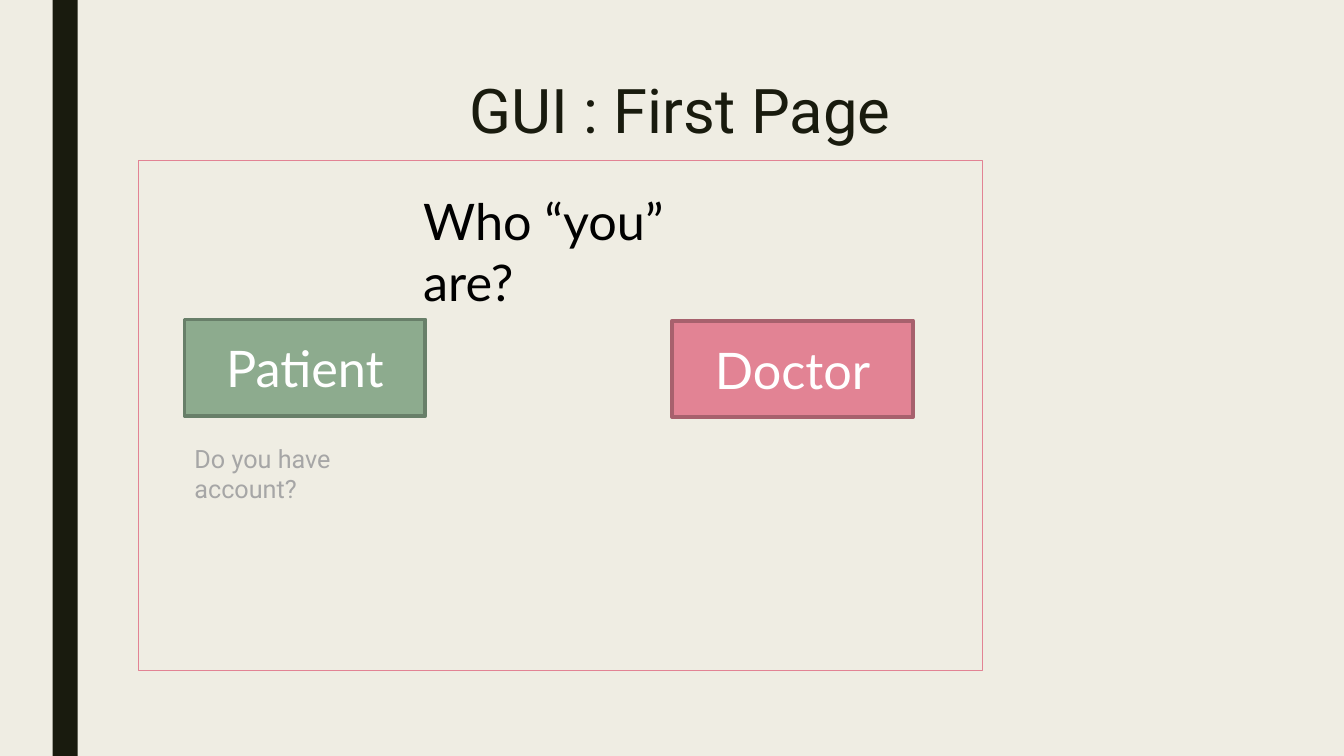
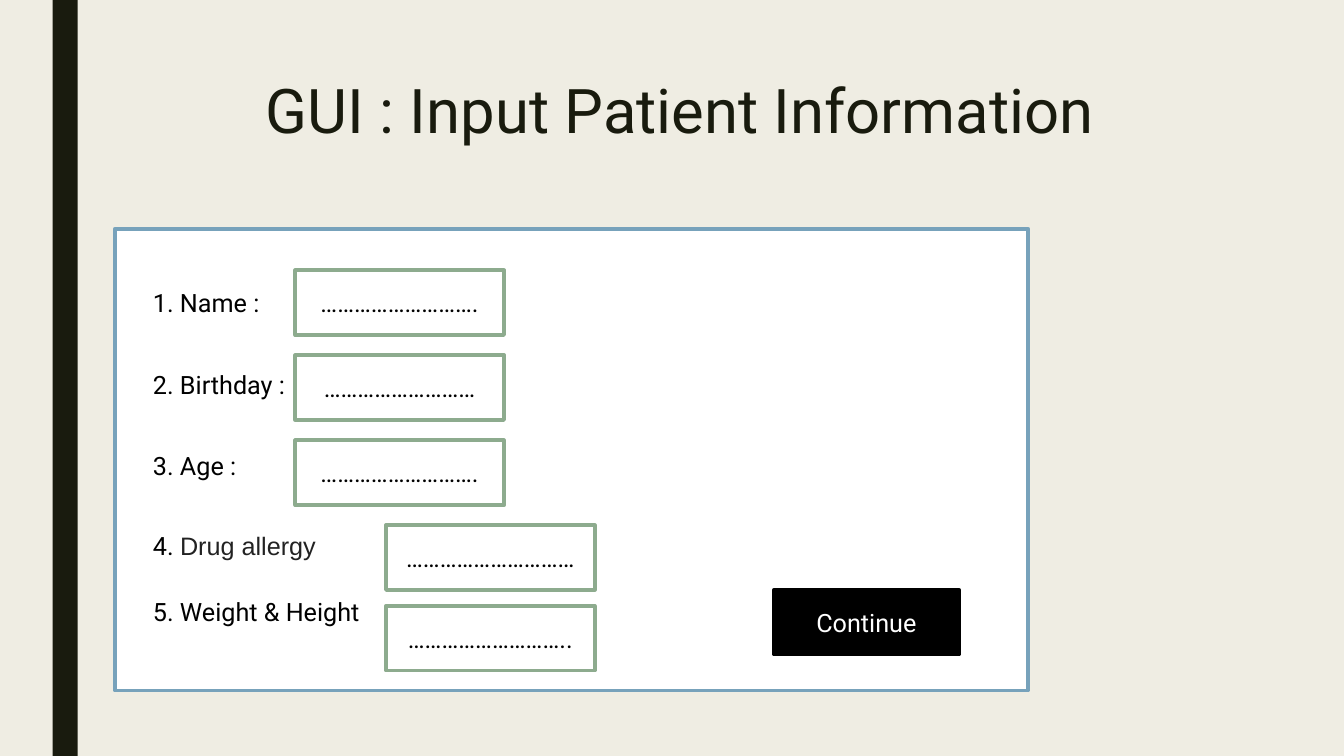
from dataclasses import dataclass

from pptx import Presentation, util as u
from pptx.dml.color import RGBColor
from pptx.enum import shapes, text

# Shared colours and fonts
PAPER, INK = "EFEDE3", "191B0E"
BLACK, WHITE = "000000", "FFFFFF"
GREEN, PINK, BLUE, GREY = "8DAB8E", "E28394", "77A2BB", "A6A6A6"
HEADING_FONT, PROMPT_FONT = "Roboto", "Lato"
FRAME_LINE = 2.75


@dataclass
class Area:
    """A rectangle on the page, in points."""
    left: float
    top: float
    width: float
    height: float

    def lengths(self) -> list:
        return [u.Pt(v) for v in (self.left, self.top, self.width, self.height)]


@dataclass
class Type:
    """How a paragraph looks."""
    size: float = 18
    color: str = BLACK
    font: str = HEADING_FONT
    centred: bool = False
    spacing: float = 1.0


@dataclass
class Field:
    """One numbered form row: label and input box."""
    label: str
    label_top: float
    label_width: float
    label_height: float
    dots: str
    box_left: float
    box_top: float


def rgb(color: str) -> RGBColor:
    return RGBColor.from_string(color)


def write(box, words: str, style: Type):
    """Fill a shape or text box with one paragraph and return it."""
    box.text_frame.word_wrap = True
    para = box.text_frame.paragraphs[0]
    para.alignment = text.PP_ALIGN.CENTER if style.centred else text.PP_ALIGN.LEFT
    para.line_spacing = style.spacing
    para.font.size = u.Pt(style.size)
    para.font.name = style.font
    para.font.color.rgb = rgb(style.color)
    para.add_run().text = words
    return para


def add_text(page, area: Area, words: str, style: Type):
    return write(page.shapes.add_textbox(*area.lengths()), words, style)


def add_box(page, area: Area, fill: str = "", line: str = "",
            weight: float = FRAME_LINE, words: str = "", style: Type = Type()):
    """Draw a rectangle; an empty colour means no fill or no line."""
    box = page.shapes.add_shape(shapes.MSO_SHAPE.RECTANGLE, *area.lengths())
    box.shadow.inherit = False
    if fill:
        box.fill.solid()
        box.fill.fore_color.rgb = rgb(fill)
    else:
        box.fill.background()
    if line:
        box.line.color.rgb = rgb(line)
        box.line.width = u.Pt(weight)
    else:
        box.line.fill.background()
    if words:
        box.text_frame.vertical_anchor = text.MSO_ANCHOR.MIDDLE
        write(box, words, style)
    return box


def add_page(deck, title: str, title_height: float):
    """Add a page with the side band and a centred title."""
    page = deck.slides.add_slide(deck.slide_layouts[6])
    page.background.fill.solid()
    page.background.fill.fore_color.rgb = rgb(PAPER)
    add_box(page, Area(37.5, 0, 18, 540), fill=INK)
    add_text(page, Area(108, 54, 756, title_height), title,
             Type(44, INK, centred=True, spacing=0.89))
    return page


def build_first_page(deck) -> None:
    page = add_page(deck, "GUI : First Page", 60.5)
    add_box(page, Area(98.6, 114.5, 603.4, 364.3), line=PINK, weight=0.75)
    add_text(page, Area(295.2, 132.5, 210.2, 51), "Who “you” are?",
             Type(36, font=PROMPT_FONT))

    # Role buttons
    button_type = Type(36, WHITE, PROMPT_FONT, centred=True)
    for role, left, top, fill, line in (
        ("Patient", 131.8, 228.2, GREEN, "687F69"),
        ("Doctor", 480.2, 229, PINK, "A7616D"),
    ):
        add_box(page, Area(left, top, 172, 69), fill, line,
                words=role, style=button_type)
    add_text(page, Area(131.8, 313.2, 182.9, 29), "Do you have account?",
             Type(color=GREY))


def build_patient_form(deck) -> None:
    page = add_page(deck, "GUI : Input Patient Information", 116.6)
    add_box(page, Area(82.1, 163.4, 652.3, 329.8), WHITE, BLUE)

    # Form rows
    dots = "…" * 9
    near, far = 211, 275.8
    fields = [
        Field("1. Name :", 201.6, 100, 29, dots + ".", near, 193),
        Field("2. Birthday :", 260.6, 111, 29, dots, near, 253.7),
        Field("3. Age :", 317.8, 89, 29, dots + ".", near, 314.6),
        Field("4. ", 375.1, 174, 51, dots + "…", far, 375.1),
        Field("5. Weight & Height", 422.6, 174, 51, dots + "..", far, 432.7),
    ]
    labels = []
    for field in fields:
        add_box(page, Area(field.box_left, field.box_top, 149, 46.3), WHITE, GREEN,
                words=field.dots, style=Type(centred=True))
        label_area = Area(102.2, field.label_top, field.label_width, field.label_height)
        labels.append(add_text(page, label_area, field.label, Type()))

    # The allergy label has its own font and colour
    span = labels[3].add_run()
    span.text = "Drug allergy"
    span.font.name = "Arial"
    span.font.color.rgb = rgb("222222")

    add_box(page, Area(553, 421.2, 131.8, 46.3), BLACK, BLACK,
            words="Continue", style=Type(color=WHITE, centred=True))


deck = Presentation()
deck.slide_width, deck.slide_height = u.Pt(960), u.Pt(540)
build_first_page(deck)
build_patient_form(deck)
deck.save("out.pptx")
